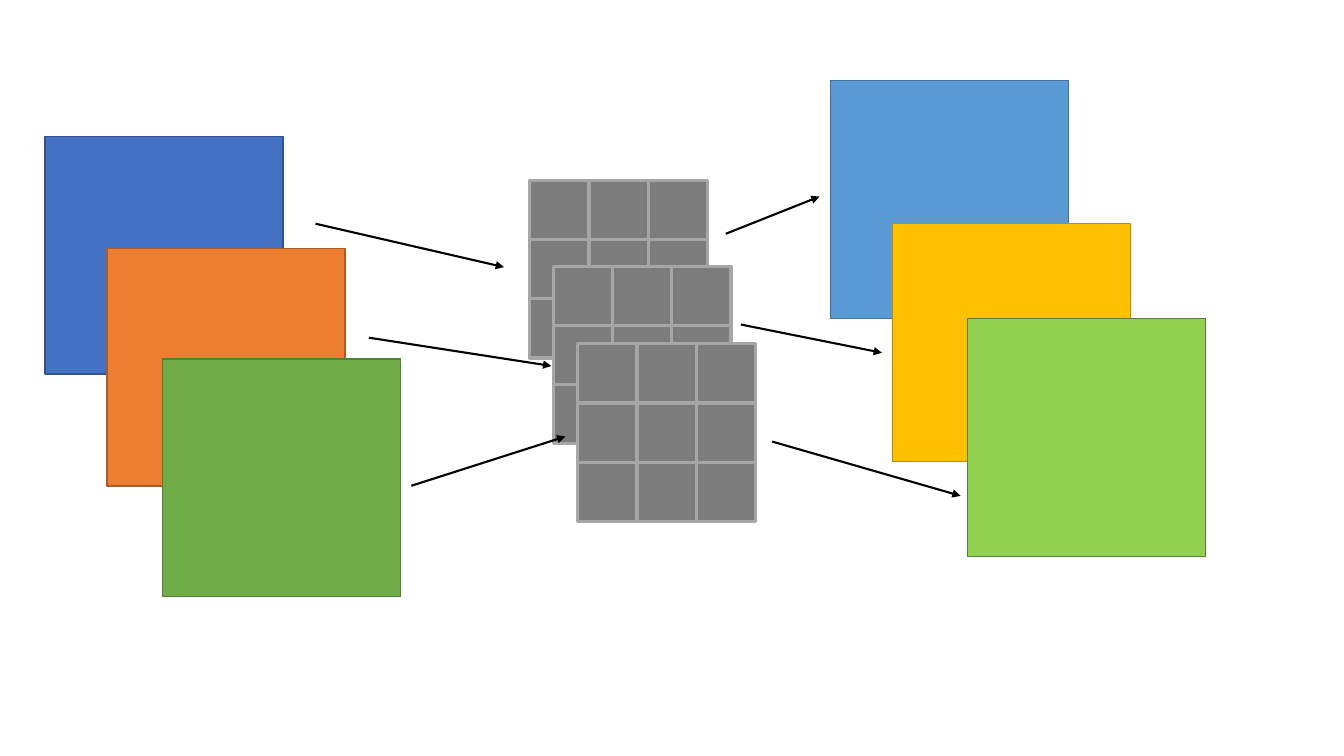
from lxml import etree
from pptx import Presentation
from pptx import util as u
from pptx.dml import color
from pptx.enum import shapes
from pptx.oxml import ns

SQUARE_SIZE = 170
CELL_SIZE = 42.3
GRID_COUNT = 3

# Left, top, fill, outline
INPUT_MAPS = [
    (32.2, 97.3, "4472C4", "325491"),
    (76.5, 177.3, "ED7D31", "AF5C24"),
    (116, 256.3, "70AD47", "538035"),
]
OUTPUT_MAPS = [
    (593.3, 57.6, "5B9BD5", "43739E"),
    (637.7, 159.8, "FFC000", "BD8E00"),
    (691.2, 227.5, "92D050", "538035"),
]
# Left, top
KERNELS = [(378.5, 128.9), (395.3, 190.1), (412.7, 245.6)]
# Start x, start y, end x, end y
INPUT_ARROWS = [
    (263.5, 241.2, 393.8, 261.4),
    (225.4, 159.8, 360, 190.8),
    (293.8, 347, 403.9, 311.8),
]
OUTPUT_ARROWS = [
    (518.4, 167, 585.4, 140.4),
    (529.2, 231.8, 630, 252),
    (551.5, 315.4, 686.2, 354.2),
]


def rgb(value):
    return color.RGBColor.from_string(value)


def add_square(parent, left, top, size, fill, outline, width=1):
    shape = parent.shapes.add_shape(
        shapes.MSO_SHAPE.RECTANGLE, u.Pt(left), u.Pt(top), u.Pt(size), u.Pt(size))
    shape.shadow.inherit = False
    shape.fill.solid()
    shape.fill.fore_color.rgb = rgb(fill)
    shape.line.color.rgb = rgb(outline)
    shape.line.width = u.Pt(width)


def add_kernel(slide, left, top):
    group = slide.shapes.add_group_shape()
    for row in range(GRID_COUNT):
        for column in range(GRID_COUNT):
            add_square(group, left + column * CELL_SIZE, top + row * CELL_SIZE,
                       CELL_SIZE, "7C7C7C", "A6A6A6", width=2.25)


def add_arrow(slide, *ends):
    arrow = slide.shapes.add_connector(
        shapes.MSO_CONNECTOR.STRAIGHT, *[u.Pt(value) for value in ends])
    arrow.line.color.rgb = rgb("000000")
    arrow.line.width = u.Pt(1.5)
    # Arrowhead at the end, and no shadow
    etree.SubElement(arrow.line._get_or_add_ln(), ns.qn("a:tailEnd"), type="triangle")
    etree.SubElement(arrow._element.spPr, ns.qn("a:effectLst"))


def main():
    presentation = Presentation()
    presentation.slide_width = u.Pt(960)
    presentation.slide_height = u.Pt(540)
    slide = presentation.slides.add_slide(presentation.slide_layouts[6])

    # Kernels in the middle
    for left, top in KERNELS:
        add_kernel(slide, left, top)

    # Arrows from the inputs to the kernels
    for ends in INPUT_ARROWS:
        add_arrow(slide, *ends)

    # Input maps on the left, output maps on the right
    for left, top, fill, outline in INPUT_MAPS + OUTPUT_MAPS:
        add_square(slide, left, top, SQUARE_SIZE, fill, outline)

    # Arrows from the kernels to the outputs
    for ends in OUTPUT_ARROWS:
        add_arrow(slide, *ends)

    presentation.save("out.pptx")


if __name__ == "__main__":
    main()
